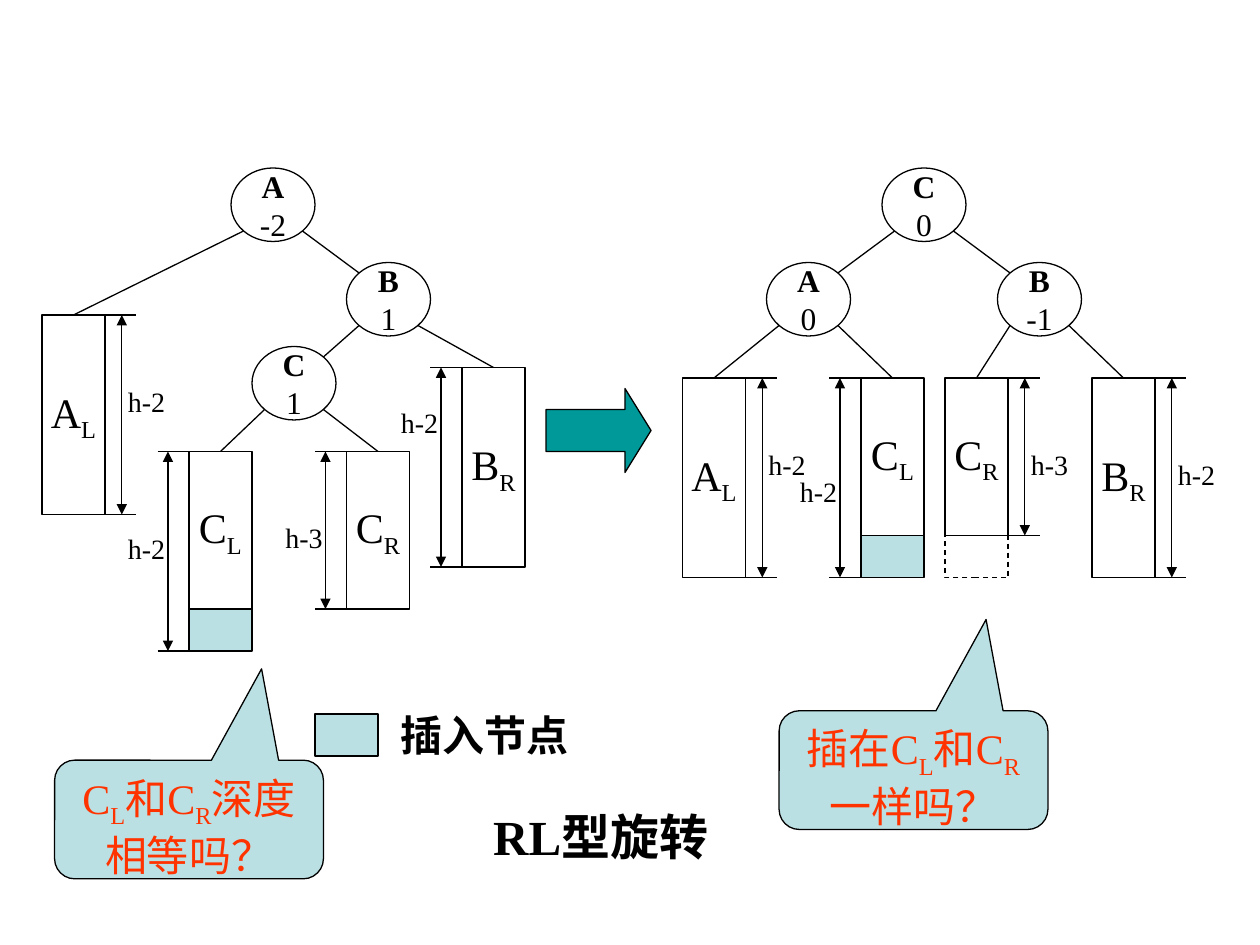
"""Build the slide on RL rotation of a balanced tree."""
import pptx
import pptx.util
import pptx.dml.color
import pptx.enum.dml
import pptx.enum.shapes
import pptx.enum.text
import pptx.oxml
import pptx.oxml.ns

PX = 7620
FONT = "Times New Roman"
BLACK, RED, PALE, TEAL = "000000", "FF3300", "BBE0E3", "009999"
KIND = pptx.enum.shapes.MSO_SHAPE
ALIGN = pptx.enum.text.PP_ALIGN
ANCHOR = pptx.enum.text.MSO_ANCHOR
color = pptx.dml.color.RGBColor.from_string

deck = pptx.Presentation()
deck.slide_width, deck.slide_height = 1200 * PX, 900 * PX
slide = deck.slides.add_slide(deck.slide_layouts[6])


def box(kind, x, y, w, h, fill=None, paras=(), size=24, ink=BLACK,
        align=ALIGN.CENTER, wrap=False, anchor=ANCHOR.MIDDLE):
    place = [n * PX for n in (x, y, w, h)]
    if kind is None:
        shape = slide.shapes.add_textbox(*place)
    else:
        shape = slide.shapes.add_shape(kind, *place)
        shape.shadow.inherit = False
        shape.line.color.rgb = color(BLACK)
        shape.line.width = pptx.util.Pt(0.75)
        if fill:
            shape.fill.solid()
            shape.fill.fore_color.rgb = color(fill)
        else:
            shape.fill.background()
    frame = shape.text_frame
    frame.word_wrap = wrap
    frame.vertical_anchor = anchor
    for i, runs in enumerate(paras):
        para = frame.add_paragraph() if i else frame.paragraphs[0]
        para.alignment = align
        for text, style in runs:
            run = para.add_run()
            run.text = text
            run.font.name = FONT
            run.font.size = pptx.util.Pt(size)
            run.font.bold = style == "bold"
            run.font.color.rgb = color(ink)
            if style == "sub":
                run._r.get_or_add_rPr().set("baseline", "-25000")
    return shape


def line(x1, y1, x2, y2, heads=False):
    link = slide.shapes.add_connector(
        pptx.enum.shapes.MSO_CONNECTOR.STRAIGHT, x1 * PX, y1 * PX, x2 * PX, y2 * PX)
    link.line.color.rgb = color(BLACK)
    link.line.width = pptx.util.Pt(0.75)
    props = link._element.spPr
    if heads:
        for end in ("headEnd", "tailEnd"):
            tip = pptx.oxml.parse_xml(
                f'<a:{end} {pptx.oxml.ns.nsdecls("a")} type="triangle"/>')
            props.ln.append(tip)
    props.append(pptx.oxml.parse_xml(f'<a:effectLst {pptx.oxml.ns.nsdecls("a")}/>'))


nodes = [
    ("A", "-2", 220, 160, (70, 300), (342, 260)),
    ("B", "1", 330, 250, (308, 340), (470, 350)),
    ("C", "1", 240, 330, (210, 430), (360, 430)),
    ("C", "0", 840, 160, (798, 260), (962, 260)),
    ("A", "0", 730, 250, (680, 360), (850, 360)),
    ("B", "-1", 950, 250, (930, 360), (1070, 360)),
]
for name, factor, x, y, left, right in nodes:
    box(KIND.OVAL, x, y, 80, 70, None, [[(name, "bold")], [(factor, "")]], 18)
    line(x + 12, y + 60, *left)
    line(x + 68, y + 60, *right)

bars = [
    ("A", "L", 40, 300, "right", "h-2", 360),
    ("C", "L", 180, 430, "left", "h-2", 500),
    ("C", "R", 330, 430, "left", "h-3", 490),
    ("B", "R", 440, 350, "left", "h-2", 380),
    ("A", "L", 650, 360, "right", "h-2", 420),
    ("C", "L", 820, 360, "left", "h-2", 446),
    ("C", "R", 900, 360, "right", "h-3", 420),
    ("B", "R", 1040, 360, "right", "h-2", 430),
]
for name, sub, x, y, side, depth, top in bars:
    tall = 150 if name == "C" else 190
    span = 190 if depth == "h-2" else 150
    tick, axis, label = (x - 30, x - 20, x - 70) if side == "left" else (x + 60, x + 76, x + 70)
    box(KIND.RECTANGLE, x, y, 60, tall, None, [[(name, ""), (sub, "sub")]])
    if span > tall:
        box(KIND.RECTANGLE, x, y + tall, 60, 40, PALE)
    for edge in (y, y + span):
        line(tick, edge, tick + 30, edge)
    line(axis, y, axis, y + span, True)
    box(None, label, top, 60, 44, None, [[(depth, "")]], 16,
        align=ALIGN.LEFT, wrap=True, anchor=ANCHOR.TOP)

empty = box(KIND.RECTANGLE, 900, 510, 60, 40)
empty.line.dash_style = pptx.enum.dml.MSO_LINE.DASH

arrow = box(KIND.RIGHT_ARROW, 520, 370, 100, 80, TEAL)
arrow.adjustments[1] = 0.31

box(KIND.RECTANGLE, 300, 680, 60, 40, PALE)
box(None, 370, 670, 290, 60, None, [[("插入节点", "bold")]],
    align=ALIGN.LEFT, wrap=True, anchor=ANCHOR.TOP)
box(None, 298, 762, 548, 68, None, [[("RL型旋转", "bold")]], 28,
    wrap=True, anchor=ANCHOR.TOP)

asks = [(52, 724, "C", "深度相等吗？"), (742, 677, "插在C", "一样吗？")]
for x, y, start, end in asks:
    runs = [(start, ""), ("L", "sub"), ("和C", ""), ("R", "sub"), (end, "")]
    bubble = box(KIND.ROUNDED_RECTANGULAR_CALLOUT, x, y, 256, 113, PALE, [runs],
                 ink=RED, wrap=True, anchor=ANCHOR.TOP)
    for i, value in enumerate((0.27, -1.27, 0.17)):
        bubble.adjustments[i] = value

deck.save("out.pptx")
